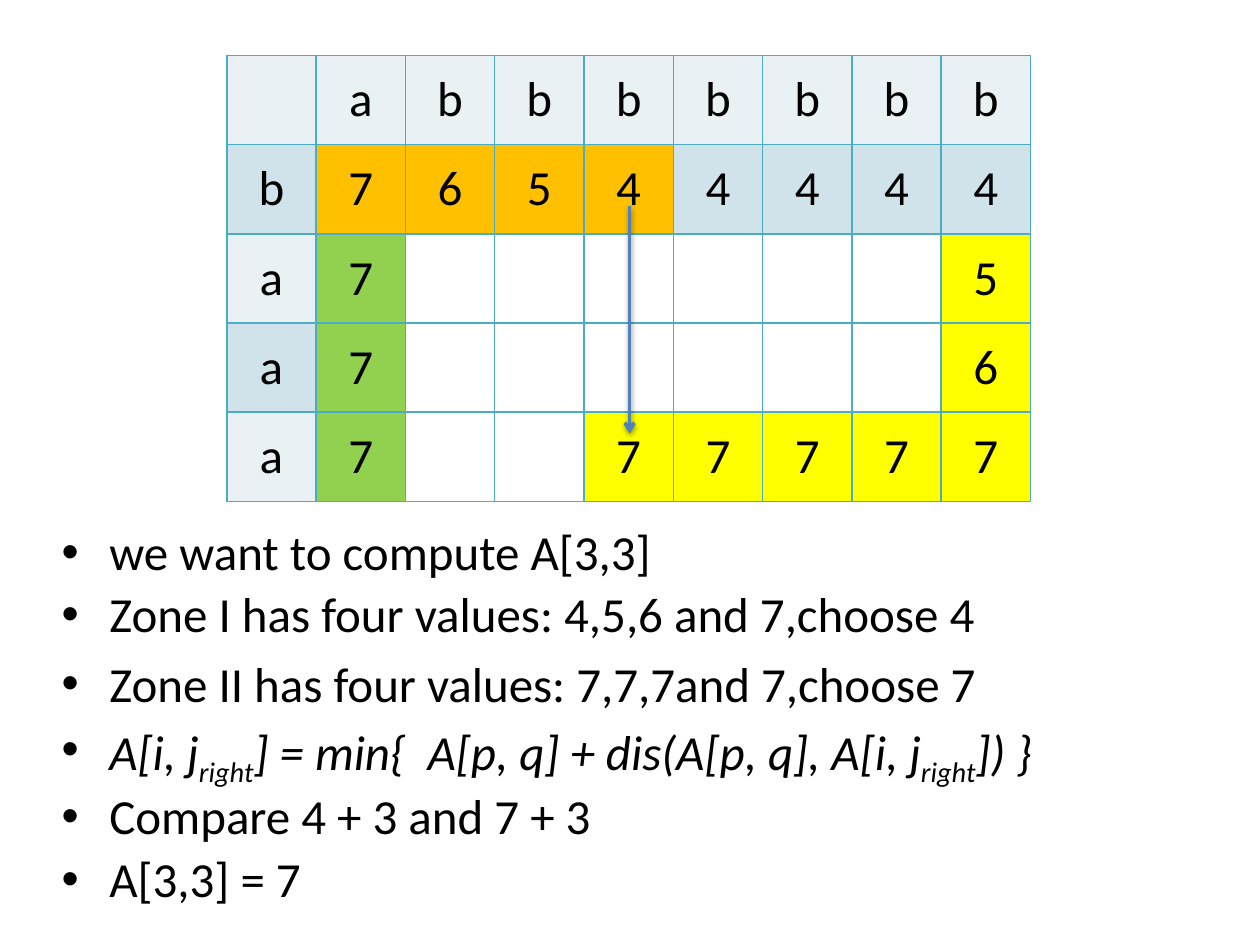
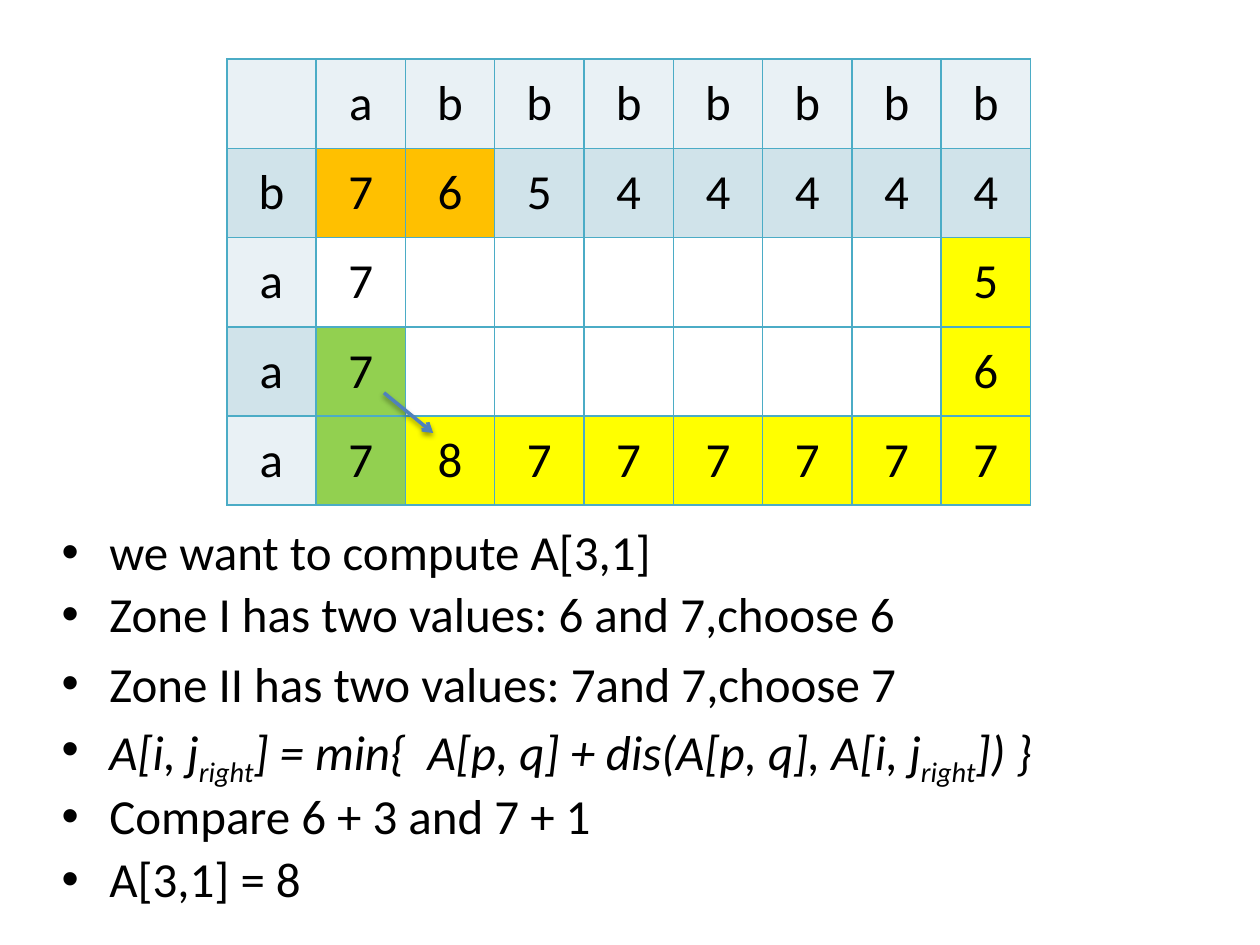
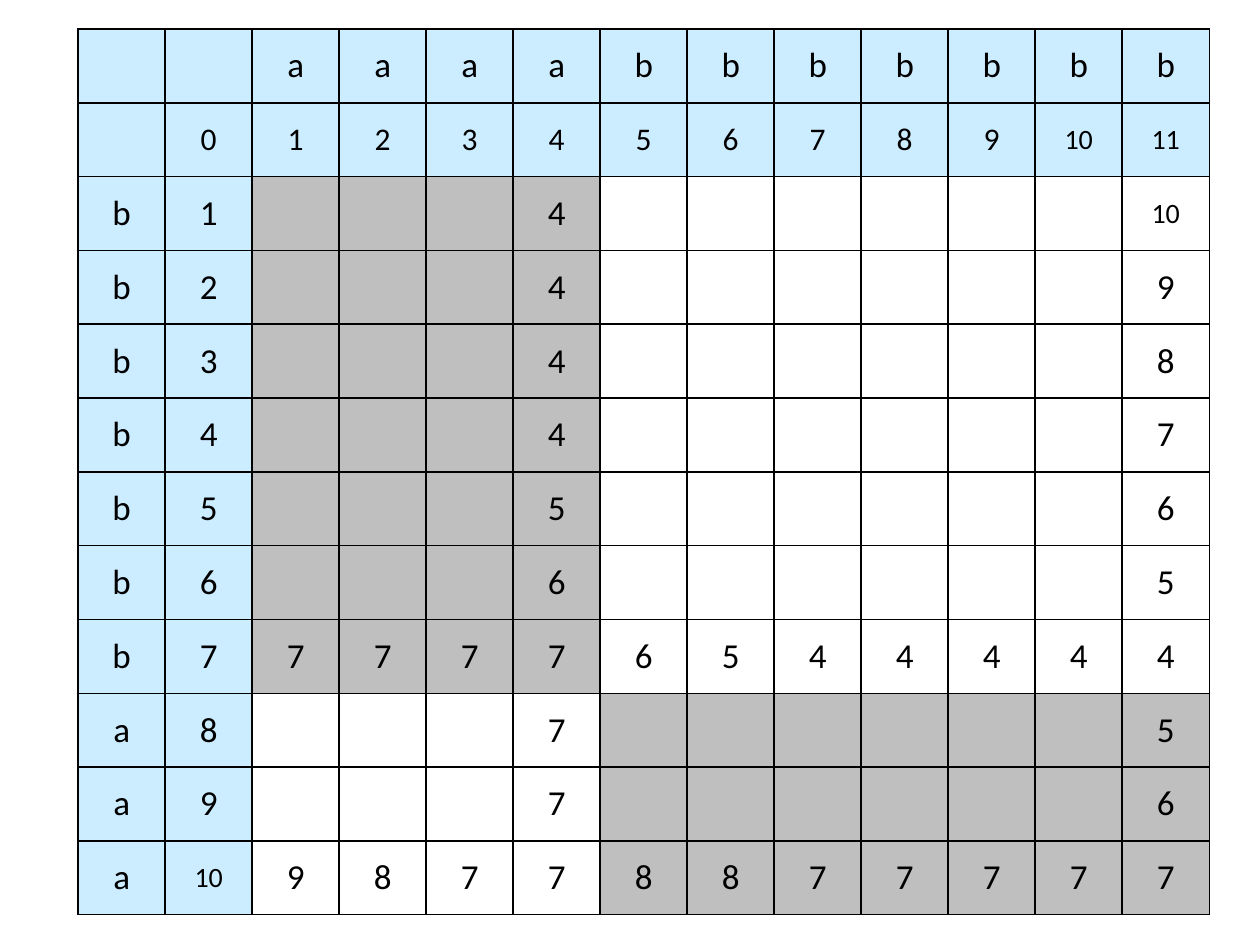
from lxml.etree import SubElement
from pptx import Presentation
from pptx.dml.color import RGBColor
from pptx.enum.shapes import MSO_CONNECTOR
from pptx.enum.text import MSO_ANCHOR, PP_ALIGN
from pptx.oxml.ns import qn
from pptx.util import Inches, Pt

FONT = "Calibri"
BLACK = RGBColor(0x00, 0x00, 0x00)
WHITE = RGBColor(0xFF, 0xFF, 0xFF)
GRAY = RGBColor(0xBF, 0xBF, 0xBF)
SKY = RGBColor(0xCC, 0xEC, 0xFF)
TEAL = RGBColor(0x4B, 0xAC, 0xC6)
BLUE = RGBColor(0x4F, 0x81, 0xBD)
LIGHT_BAND = RGBColor(0xE9, 0xF1, 0xF5)
DARK_BAND = RGBColor(0xD0, 0xE3, 0xEA)
ORANGE = RGBColor(0xFF, 0xC0, 0x00)
GREEN = RGBColor(0x92, 0xD0, 0x50)
YELLOW = RGBColor(0xFF, 0xFF, 0x00)

# One letter per cell; a dot leaves the cell unfilled
FILLS = {"L": LIGHT_BAND, "D": DARK_BAND, "O": ORANGE, "G": GREEN, "Y": YELLOW,
         "S": SKY, "W": WHITE, "X": GRAY, ".": None}

SLIDE_WIDTH, SLIDE_HEIGHT = Inches(10), Inches(7.5)
TEXT_BOX = (Inches(0.39), Inches(4.14), Inches(9.3), Inches(3.13))

# Formula pieces: text, baseline shift, letter spacing (1/100 pt)
FORMULA = [("A[i, j", 0, 0), ("right", -25, 0), ("] = min{", 0, 0), (" ", 0, 630),
           ("A[p, q] + dis(A[p, q], A[i, j", 0, 0), ("right", -25, 0), ("]) }", 0, 0)]

STEPS = [
    {
        "box": (1.8, 0.44, 6.38, 3.54),
        "values": ["- a b b b b b b b",
                   "b 7 6 5 4 4 4 4 4",
                   "a 7 - - - - - - 5",
                   "a 7 - - - - - - 6",
                   "a 7 - - 7 7 7 7 7"],
        "fills": ["LLLLLLLLL", "DOOOODDDD", "LG......Y", "DG......Y", "LG..YYYYY"],
        "arrow": ((4.51, 1.69), (4.51, 4.24)),
        "bullets": ["we want to compute A[3,3]",
                    "Zone I has four values: 4,5,6 and 7,choose 4",
                    "Zone II has four values: 7,7,7and 7,choose 7",
                    FORMULA, "Compare 4 + 3 and 7 + 3", "A[3,3] = 7"],
    },
    {
        "box": (1.8, 0.47, 6.38, 3.54),
        "values": ["- a b b b b b b b",
                   "b 7 6 5 4 4 4 4 4",
                   "a 7 - - - - - - 5",
                   "a 7 - - - - - - 6",
                   "a 7 8 7 7 7 7 7 7"],
        "fills": ["LLLLLLLLL", "DOODDDDDD", "L.......Y", "DG......Y", "LGYYYYYYY"],
        "arrow": ((1.76, 3.74), (2.31, 4.19)),
        "bullets": ["we want to compute A[3,1]",
                    "Zone I has two values: 6 and 7,choose 6",
                    "Zone II has two values: 7and 7,choose 7",
                    FORMULA, "Compare 6 + 3 and 7 + 1", "A[3,1] = 8"],
    },
]

BLOCK_BOX = (0.62, 0.23, 8.98, 7.03)
BLOCK_VALUES = [
    "- - a a a a b b b b b b b",
    "- 0 1 2 3 4 5 6 7 8 9 10 11",
    "b 1 - - - 4 - - - - - - 10",
    "b 2 - - - 4 - - - - - - 9",
    "b 3 - - - 4 - - - - - - 8",
    "b 4 - - - 4 - - - - - - 7",
    "b 5 - - - 5 - - - - - - 6",
    "b 6 - - - 6 - - - - - - 5",
    "b 7 7 7 7 7 6 5 4 4 4 4 4",
    "a 8 - - - 7 - - - - - - 5",
    "a 9 - - - 7 - - - - - - 6",
    "a 10 9 8 7 7 8 8 7 7 7 7 7",
]
# Header rows, then the seven "b" rows, then the three "a" rows
BLOCK_FILLS = (["S" * 13] * 2 + ["SS" + "X" * 4 + "W" * 7] * 7
               + ["SS" + "W" * 4 + "X" * 7] * 3)


def style_font(font, size):
    font.name, font.size = FONT, Pt(size)
    font.color.rgb = BLACK


def draw_borders(cell, color):
    properties = cell._tc.get_or_add_tcPr()
    for side in ("lnL", "lnR", "lnT", "lnB"):
        line = SubElement(properties, qn(f"a:{side}"), w=str(Pt(1)))
        SubElement(SubElement(line, qn("a:solidFill")), qn("a:srgbClr"), val=str(color))


def add_grid(slide, box, values, fills, border, size_of):
    """Table of equal cells; size_of(row, text) gives the text size."""
    left, top, width, height = map(Inches, box)
    rows, columns = len(fills), len(fills[0])
    table = slide.shapes.add_table(rows, columns, left, top, width, height).table
    table.first_row = table.horz_banding = False
    for row, line in enumerate(values):
        for column, text in enumerate(line.split()):
            cell = table.cell(row, column)
            cell.vertical_anchor = MSO_ANCHOR.MIDDLE
            draw_borders(cell, border)
            color = FILLS[fills[row][column]]
            if color is None:
                cell.fill.background()
            else:
                cell.fill.solid()
                cell.fill.fore_color.rgb = color
            if text != "-":
                cell.text_frame.text = text
                paragraph = cell.text_frame.paragraphs[0]
                paragraph.alignment = PP_ALIGN.CENTER
                style_font(paragraph.runs[0].font, size_of(row, text))


def add_arrow(slide, box, start, end, rows, columns):
    """Arrow between two (column, row) points of the grid in the box."""
    left, top, width, height = box
    points = [Inches(value) for column, row in (start, end)
              for value in (left + column * width / columns, top + row * height / rows)]
    arrow = slide.shapes.add_connector(MSO_CONNECTOR.STRAIGHT, *points)
    arrow.line.color.rgb = BLUE
    arrow.line.width = Pt(2)
    SubElement(arrow.line._get_or_add_ln(), qn("a:tailEnd"), type="arrow")
    # Soft shadow straight below
    effects = SubElement(arrow._element.spPr, qn("a:effectLst"))
    shadow = SubElement(effects, qn("a:outerShdw"), blurRad=str(Pt(3.1)),
                        dist=str(Pt(1.6)), dir="5400000", rotWithShape="0")
    color = SubElement(shadow, qn("a:srgbClr"), val=str(BLACK))
    SubElement(color, qn("a:alpha"), val="38000")


def add_formula(paragraph, pieces):
    for text, baseline, spacing in pieces:
        run = paragraph.add_run()
        run.text = text
        run.font.italic = True
        properties = run._r.get_or_add_rPr()
        if baseline:
            properties.set("baseline", str(baseline * 1000))
        if spacing:
            properties.set("spc", str(spacing))


def add_bullets(slide, box, bullets):
    text_frame = slide.shapes.add_textbox(*box).text_frame
    text_frame.word_wrap = True
    for index, content in enumerate(bullets):
        paragraph = text_frame.add_paragraph() if index else text_frame.paragraphs[0]
        properties = paragraph._p.get_or_add_pPr()
        properties.set("marL", str(Inches(0.38)))
        properties.set("indent", str(-Inches(0.38)))
        SubElement(properties, qn("a:buFont"), typeface="Arial")
        SubElement(properties, qn("a:buChar"), char="•")
        paragraph.line_spacing = 1.0 if index == 2 else 0.9
        if index:
            paragraph.space_before = Pt(5.6)
        if isinstance(content, str):
            paragraph.text = content
        else:
            add_formula(paragraph, content)
        for run in paragraph.runs:
            style_font(run.font, 28)


def build_step_slide(slide, step):
    box, fills = step["box"], step["fills"]
    add_grid(slide, box, step["values"], fills, TEAL, lambda row, text: 28)
    add_arrow(slide, box, *step["arrow"], len(fills), len(fills[0]))
    add_bullets(slide, TEXT_BOX, step["bullets"])


def block_text_size(row, text):
    if len(text) > 1:
        return 16
    return 18 if row == 1 else 20


def main():
    presentation = Presentation()
    presentation.slide_width, presentation.slide_height = SLIDE_WIDTH, SLIDE_HEIGHT
    blank = presentation.slide_layouts[6]
    for step in STEPS:
        build_step_slide(presentation.slides.add_slide(blank), step)
    add_grid(presentation.slides.add_slide(blank), BLOCK_BOX, BLOCK_VALUES,
             BLOCK_FILLS, BLACK, block_text_size)
    presentation.save("out.pptx")


if __name__ == "__main__":
    main()
